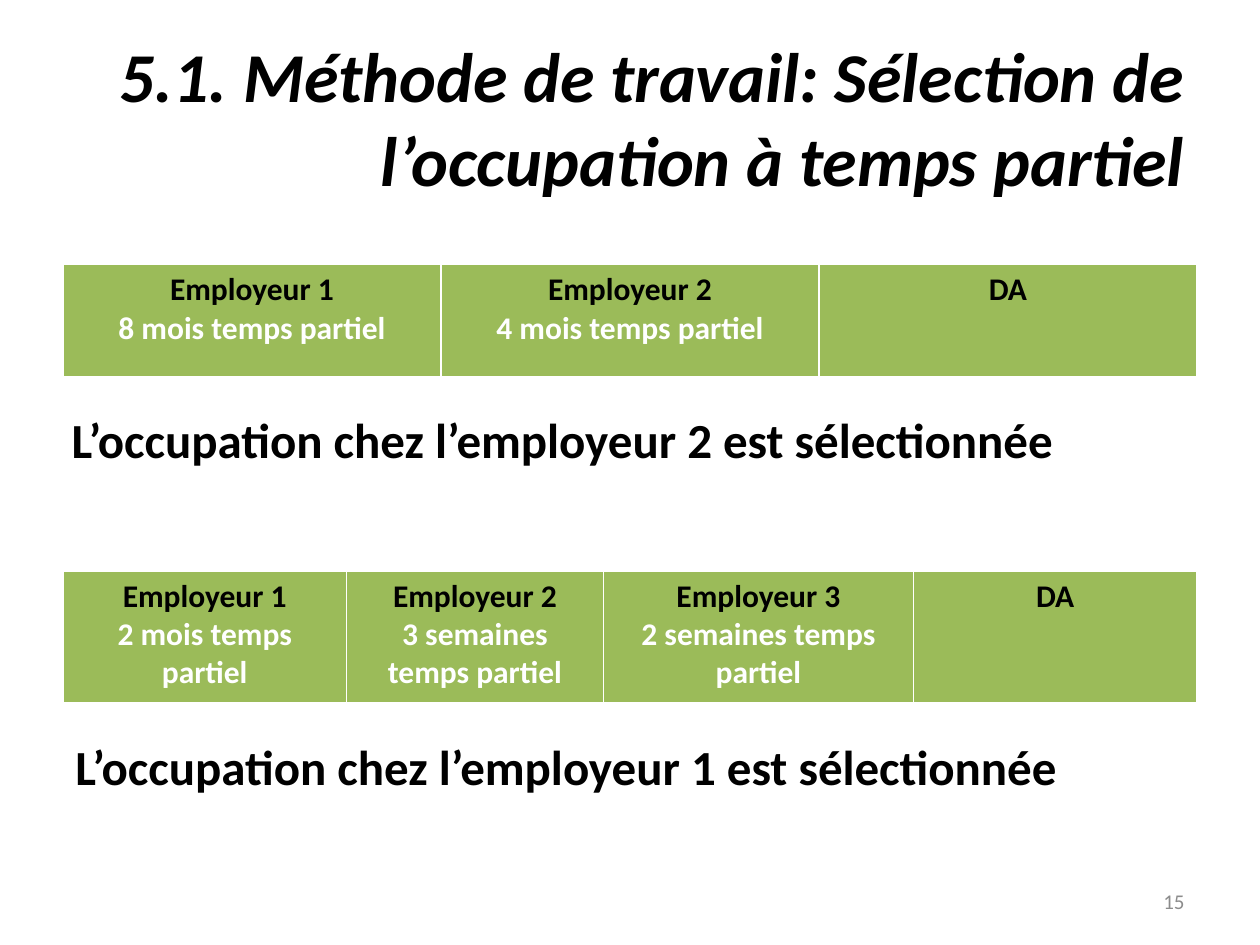
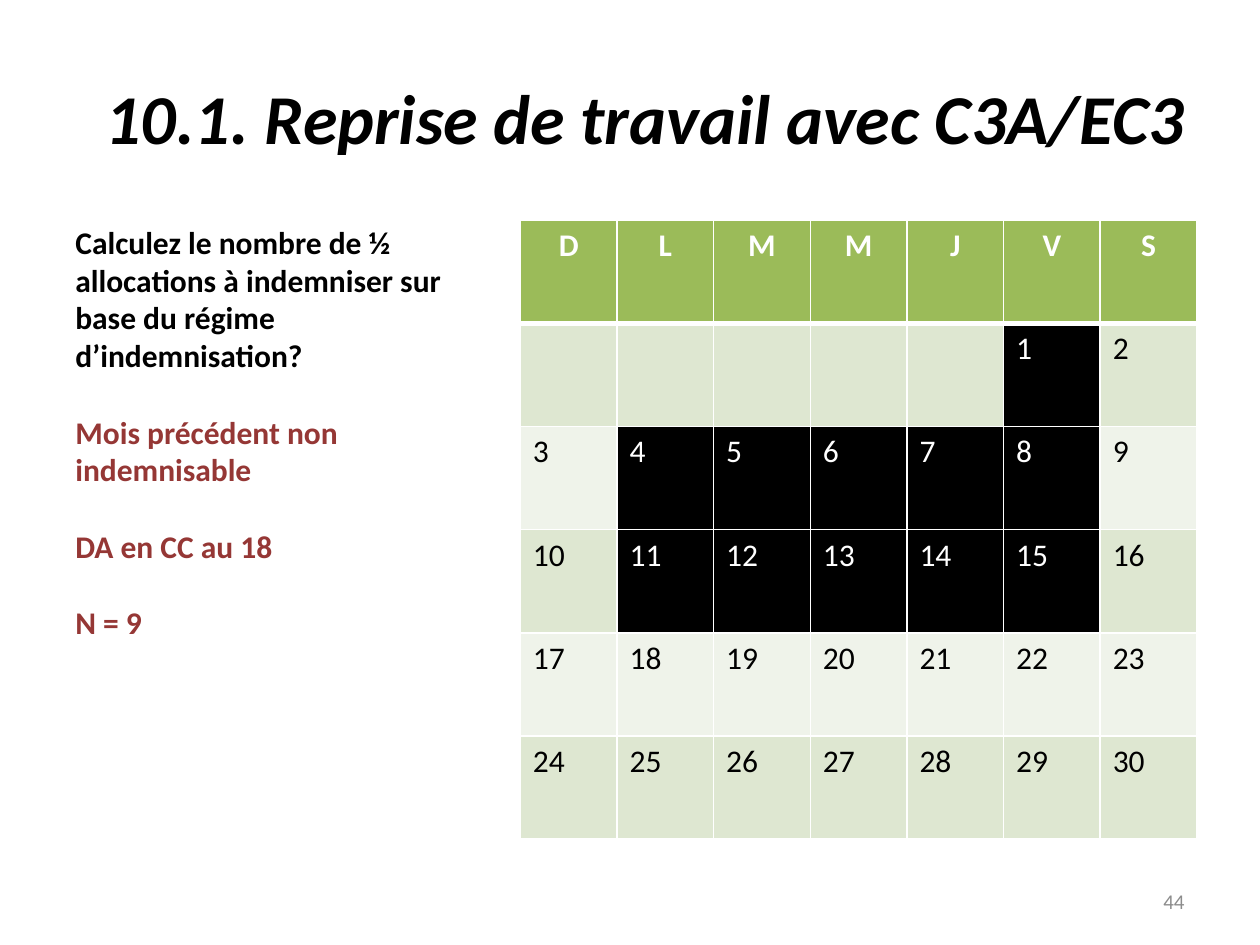
from dataclasses import dataclass
from lxml.etree import SubElement
from pptx import Presentation
from pptx.dml.color import RGBColor
from pptx.enum.text import MSO_ANCHOR, MSO_AUTO_SIZE, PP_ALIGN
from pptx.oxml.ns import qn
from pptx.util import Inches, Pt

# Shared style
BLACK = RGBColor(0x00, 0x00, 0x00)
WHITE = RGBColor(0xFF, 0xFF, 0xFF)
GREEN = RGBColor(0x9B, 0xBB, 0x59)
GREEN_BAND = RGBColor(0xDE, 0xE7, 0xD1)
PALE_BAND = RGBColor(0xEF, 0xF3, 0xEA)
DARK_RED = RGBColor(0x95, 0x37, 0x35)
GREY = RGBColor(0x8C, 0x8C, 0x8C)
FONT = "Calibri"
GRID_COLUMNS, GRID_ROWS = 100, 75
TITLE_AREA = (5, 3, 90, 12.5)
NUMBER_AREA = (71.7, 69.5, 23.3, 4)


@dataclass
class Line:
    """One paragraph of text with its look."""
    text: str
    color: RGBColor = BLACK
    size: int = 18
    bold: bool = True
    italic: bool = False
    align: PP_ALIGN = PP_ALIGN.LEFT
    space_before: int = 0


@dataclass
class Cell:
    """The lines and fill of one table cell."""
    lines: list
    fill: RGBColor = GREEN


class SlideBuilder:
    """Holds the deck and the current slide."""

    def __init__(self):
        self.deck = Presentation()
        self.deck.slide_width, self.deck.slide_height = Inches(10), Inches(7.5)
        self.slide = None

    def place(self, left, top, width, height):
        """Turn grid columns and rows into slide lengths."""
        column = self.deck.slide_width / GRID_COLUMNS
        row = self.deck.slide_height / GRID_ROWS
        return [round(length) for length in
                (left * column, top * row, width * column, height * row)]

    def fill_text(self, frame, lines):
        frame.word_wrap = True
        for index, line in enumerate(lines):
            para = frame.add_paragraph() if index else frame.paragraphs[0]
            para.text = line.text
            para.alignment = line.align
            if index and line.space_before:
                para.space_before = Pt(line.space_before)
            font = para.font
            font.name, font.size = FONT, Pt(line.size)
            font.bold, font.italic = line.bold, line.italic
            font.color.rgb = line.color

    def page(self, title, number):
        """Start a slide with its title and page number."""
        self.slide = self.deck.slides.add_slide(self.deck.slide_layouts[5])
        heading = self.slide.shapes.title
        heading.left, heading.top, heading.width, heading.height = self.place(*TITLE_AREA)
        heading.text_frame.auto_size = MSO_AUTO_SIZE.NONE
        heading.text_frame.vertical_anchor = MSO_ANCHOR.MIDDLE
        self.fill_text(heading.text_frame,
                       [Line(title, size=40, italic=True, align=PP_ALIGN.RIGHT)])
        self.text(NUMBER_AREA,
                  [Line(str(number), GREY, 12, bold=False, align=PP_ALIGN.RIGHT)],
                  MSO_ANCHOR.MIDDLE)

    def text(self, area, lines, anchor=MSO_ANCHOR.TOP):
        box = self.slide.shapes.add_textbox(*self.place(*area))
        box.text_frame.vertical_anchor = anchor
        self.fill_text(box.text_frame, lines)

    def borders(self, cell, top, bottom):
        properties = cell._tc.get_or_add_tcPr()
        for side, points in (("L", 1), ("R", 1), ("T", top), ("B", bottom)):
            line = SubElement(properties, qn(f"a:ln{side}"), w=str(Pt(points)))
            fill = SubElement(line, qn("a:solidFill"))
            SubElement(fill, qn("a:srgbClr"), val=str(WHITE))

    def table(self, area, widths, rows):
        """Draw a table whose first row is a header with a thick rule below."""
        left, top, width, height = self.place(*area)
        table = self.slide.shapes.add_table(
            len(rows), len(widths), left, top, width, height).table
        table.first_row = table.horz_banding = False
        for column, share in zip(table.columns, widths):
            column.width = round(width * share / sum(widths))
        for row_index, row in enumerate(rows):
            table.rows[row_index].height = round(height / len(rows))
            for column_index, content in enumerate(row):
                cell = table.cell(row_index, column_index)
                self.borders(cell, top=3 if row_index == 1 else 1,
                             bottom=3 if row_index == 0 else 1)
                cell.fill.solid()
                cell.fill.fore_color.rgb = content.fill
                self.fill_text(cell.text_frame, content.lines)


def employer_row(periods):
    """One cell per employer, closed by the DA cell."""
    cells = [Cell([Line(f"Employeur {number}", align=PP_ALIGN.CENTER),
                   Line(period, WHITE, align=PP_ALIGN.CENTER)])
             for number, period in enumerate(periods, 1)]
    return [*cells, Cell([Line("DA", align=PP_ALIGN.CENTER)])]


def calendar_rows(days_in_month, first_column, last_worked_day):
    """Weeks from Sunday to Saturday, with worked weekdays in black."""
    rows = [[Cell([Line(day, WHITE, align=PP_ALIGN.CENTER)]) for day in "DLMMJVS"]]
    for week, start in enumerate(range(1 - first_column, days_in_month + 1, 7)):
        row = []
        for column in range(7):
            day = start + column
            worked = 1 <= day <= last_worked_day and 1 <= column <= 5
            band = PALE_BAND if week % 2 else GREEN_BAND
            label = str(day) if 1 <= day <= days_in_month else ""
            row.append(Cell([Line(label, WHITE if worked else BLACK, bold=False)],
                            BLACK if worked else band))
        rows.append(row)
    return rows


def main():
    builder = SlideBuilder()

    # Choice of the part-time job
    builder.page("5.1. Méthode de travail: Sélection de l’occupation à temps partiel", 15)
    builder.table((5, 21, 90, 9), [1, 1, 1],
                  [employer_row(["8 mois temps partiel", "4 mois temps partiel"])])
    builder.table((5, 45.3, 90, 10.6), [2.25, 2.04, 2.46, 2.25],
                  [employer_row(["2 mois temps partiel", "3 semaines temps partiel",
                                 "2 semaines temps partiel"])])
    for left, top, employer in ((4.7, 32, 2), (5, 58, 1)):
        builder.text((left, top, 90, 5.7),
                     [Line(f"L’occupation chez l’employeur {employer} est sélectionnée",
                           size=28)])

    # Calendar exercise
    builder.page("10.1. Reprise de travail avec C3A/EC3", 44)
    builder.table((41.3, 17.5, 53.7, 49.1), [1] * 7,
                  calendar_rows(days_in_month=30, first_column=5, last_worked_day=15))
    question = Line("Calculez le nombre de ½ allocations à indemniser sur base "
                    "du régime d’indemnisation?")
    answers = [Line(answer, DARK_RED, space_before=22) for answer in
               ("Mois précédent non indemnisable", "DA en CC au 18", "N = 9")]
    builder.text((5, 17.2, 34, 37.4), [question, *answers])

    builder.deck.save("out.pptx")


if __name__ == "__main__":
    main()
